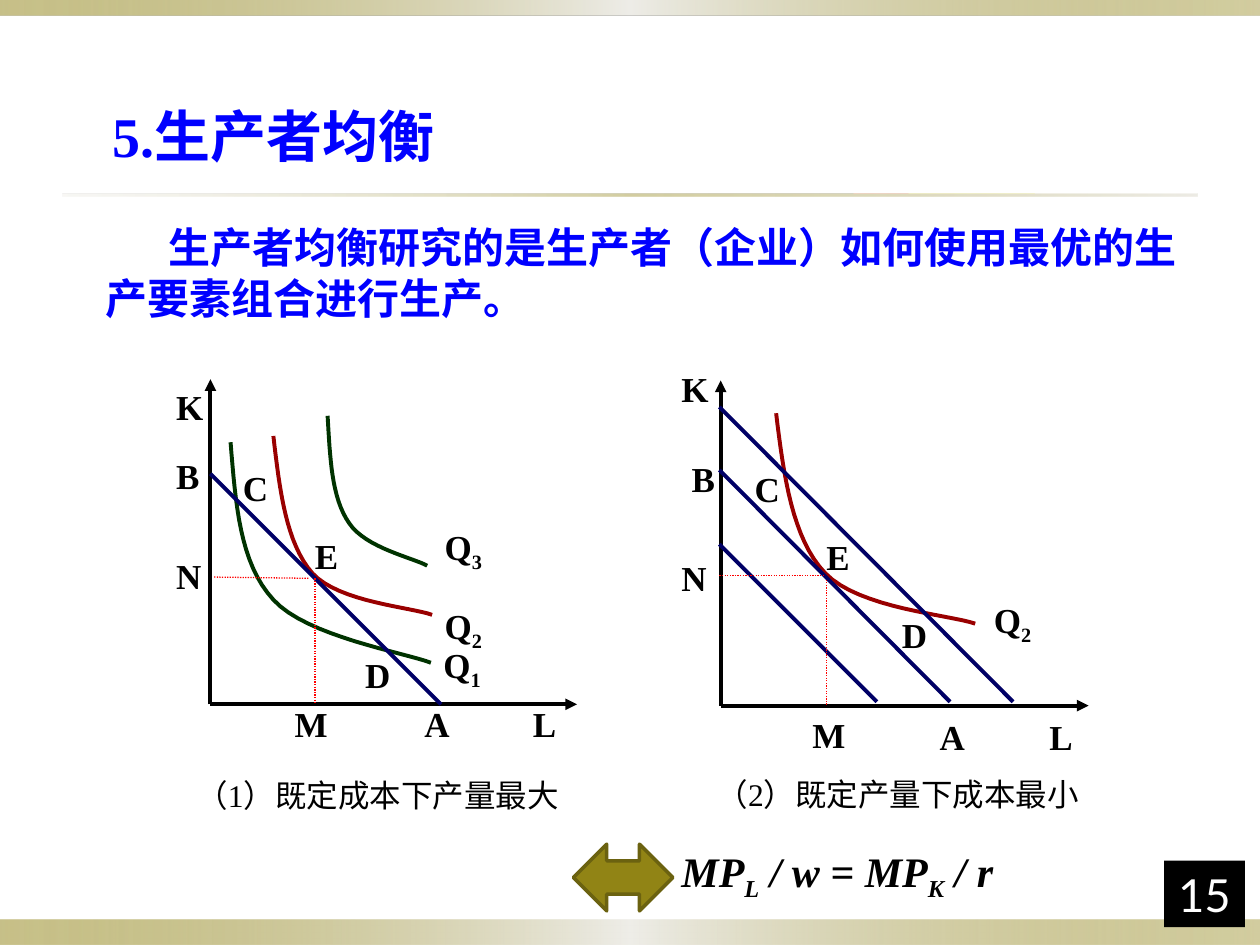
from lxml import etree
from pptx import Presentation, util as u
from pptx.dml.color import RGBColor
from pptx.enum import dml, shapes, text
from pptx.oxml import ns

BLACK, WHITE = RGBColor(0, 0, 0), RGBColor(255, 255, 255)
BLUE, NAVY = RGBColor(0, 0, 255), RGBColor(0, 0, 0x66)
GREEN, DARK_RED = RGBColor(0, 0x33, 0), RGBColor(0x99, 0, 0)
RED = RGBColor(255, 0, 0)
OLIVE, DARK_OLIVE = RGBColor(0x91, 0x84, 0x15), RGBColor(0x6B, 0x62, 0x10)
PALE, SAND = RGBColor(0xEE, 0xED, 0xE8), RGBColor(0xDC, 0xD9, 0xCC)

SERIF, SANS = "Times New Roman", "Lato"
CELL = 0.1  # grid step of a diagram, inches
LABEL_WIDTHS = {"K": 4.2, "M": 4.6, "L": 3.9, "E": 3.9, "B": 3.9, "Q": 5.1}

BAND = [(0, OLIVE, 50), (50, PALE, 100), (100, OLIVE, 40)]
RULE = [(0, SAND, 20), (50, OLIVE, 40), (100, SAND, 50)]

# Positions are columns and rows of the grid, from the top of the vertical axis.
MAX_OUTPUT = {
    "box": (1.67, 3.01, 2.91, 2.58),
    "curves": [
        (GREEN, [(1.6, 5), (2, 9.8), (2.3, 14.6), (5, 17.5),
                 (7.6, 20.4), (15.4, 21.7), (17.5, 22.5)]),
        (DARK_RED, [(5, 4.5), (5.5, 8.8), (6, 13), (8.1, 15.4),
                    (10.2, 17.7), (16, 18.1), (17.6, 18.7)]),
        (GREEN, [(9.3, 2.9), (9.5, 6.2), (9.6, 9.4), (11, 11.4),
                 (12.3, 13.4), (16.2, 14.2), (17.2, 14.8)])],
    "isocosts": [((0, 7.5), (18.3, 25.8))],
    "guides": [((8.3, 15.8), (8.3, 25.8)), ((0.3, 15.7), (7.8, 15.8))],
    "labels": {"K": (-3.7, 0), "B": (-3.7, 5.5), "N": (-3.7, 13.4),
               "C": (1.6, 6.4), "E": (7.3, 11.8), "D": (11.3, 21.3),
               "M": (5.7, 25.2), "A": (16, 25.2), "L": (24.6, 25.2),
               "Q1": (17.5, 20.5), "Q2": (17.6, 17.4), "Q3": (17.6, 11.1)},
    "caption": ("（1）既定成本下产量最大", (-2.1, 31)),
}
MIN_COST = {
    "box": (5.72, 3.02, 2.92, 2.58),
    "curves": [
        (DARK_RED, [(4.4, 2.6), (5, 7.6), (5.7, 12.6), (8.3, 15.3),
                    (11, 18.1), (18.2, 18.6), (20.2, 19.3)])],
    "isocosts": [((-0.1, 2.1), (23.2, 25.5)), ((-0.1, 7.1), (18.2, 25.5)),
                 ((-0.1, 13), (12.4, 25.5))],
    "guides": [((8.4, 15.8), (8.4, 25.8)), ((-0.1, 15.5), (8.2, 15.5))],
    "labels": {"K": (-4.1, -1.5), "B": (-3.3, 5.6), "N": (-4.1, 13.5),
               "C": (1.7, 6.4), "E": (7.4, 11.8), "D": (13.4, 18),
               "M": (6.3, 25.9), "A": (16.4, 26.1), "L": (25.1, 26.1),
               "Q2": (20.7, 16.8)},
    "caption": ("（2）既定产量下成本最小", (-1.3, 30.8)),
}


def inches(*values):
    return [u.Inches(v) for v in values]


def add_run(p, words, color=BLACK, sub=False, **fmt):
    r = p.add_run()
    r.text = words
    r.font.color.rgb = color
    for name, value in fmt.items():
        setattr(r.font, name, value)
    if sub:
        r.font._element.set("baseline", "-25000")


def add_text(s, box, runs, wrap=True, anchor=text.MSO_ANCHOR.TOP, **fmt):
    """Add a one-paragraph text box; runs are (words, is_subscript) pairs."""
    tf = s.shapes.add_textbox(*inches(*box)).text_frame
    tf.word_wrap, tf.vertical_anchor = wrap, anchor
    for words, sub in runs:
        add_run(tf.paragraphs[0], words, sub=sub, **fmt)
    return tf.paragraphs[0]


def add_shape(s, kind, box, fill, line=None):
    sp = s.shapes.add_shape(kind, *inches(*box))
    sp.shadow.inherit = False
    sp.fill.solid()
    sp.fill.fore_color.rgb = fill
    if line is None:
        sp.line.fill.background()
    else:
        sp.line.color.rgb, sp.line.width = line, u.Pt(2)
    return sp


def add_band(s, box, stops):
    """Add a bar with a horizontal gradient of (position, colour, opacity)."""
    sp = add_shape(s, shapes.MSO_SHAPE.RECTANGLE, box, WHITE)
    solid = sp._element.spPr.find(ns.qn("a:solidFill"))
    grad = etree.Element(ns.qn("a:gradFill"), rotWithShape="1")
    stop_list = etree.SubElement(grad, ns.qn("a:gsLst"))
    for position, color, opacity in stops:
        stop = etree.SubElement(stop_list, ns.qn("a:gs"), pos=str(position * 1000))
        clr = etree.SubElement(stop, ns.qn("a:srgbClr"), val=str(color))
        etree.SubElement(clr, ns.qn("a:alpha"), val=str(opacity * 1000))
    etree.SubElement(grad, ns.qn("a:lin"), ang="0", scaled="0")
    solid.getparent().replace(solid, grad)


def add_line(s, start, end, color, width=2.25, dotted=False, arrow=False):
    c = s.shapes.add_connector(shapes.MSO_CONNECTOR.STRAIGHT,
                               *inches(*start, *end))
    c.line.color.rgb, c.line.width = color, u.Pt(width)
    if dotted:
        c.line.dash_style = dml.MSO_LINE.ROUND_DOT
    if arrow:
        etree.SubElement(c.line._get_or_add_ln(), ns.qn("a:tailEnd"),
                         type="triangle")
    etree.SubElement(c._element.spPr, ns.qn("a:effectLst"))


def bezier(knots, steps=16):
    """Sample a chain of cubic segments given as start, c1, c2, end, ..."""
    points = [knots[0]]
    for i in range(0, len(knots) - 1, 3):
        for t in (n / steps for n in range(1, steps + 1)):
            weights = ((1 - t) ** 3, 3 * t * (1 - t) ** 2,
                       3 * t * t * (1 - t), t ** 3)
            points.append(tuple(sum(w * k[axis] for w, k in
                                    zip(weights, knots[i:i + 4]))
                                for axis in (0, 1)))
    return points


def add_curve(s, knots, color):
    first, *rest = [inches(*point) for point in bezier(knots)]
    builder = s.shapes.build_freeform(*first)
    builder.add_line_segments(rest, close=False)
    sp = builder.convert_to_shape()
    sp.shadow.inherit = False
    sp.fill.background()
    sp.line.color.rgb, sp.line.width = color, u.Pt(2.25)


def add_diagram(s, box, curves, isocosts, guides, labels, caption):
    left, top, width, height = box

    def at(cell):
        return left + cell[0] * CELL, top + cell[1] * CELL

    origin = (left, top + height)
    for end in ((left, top), (left + width, top + height)):
        add_line(s, origin, end, BLACK, arrow=True)
    for color, knots in curves:
        add_curve(s, [at(k) for k in knots], color)
    for start, end in isocosts:
        add_line(s, at(start), at(end), NAVY)
    for start, end in guides:
        add_line(s, at(start), at(end), RED, width=0.75, dotted=True)
    for name, cell in labels.items():
        runs = [(name[0], False)] + [(digit, True) for digit in name[1:]]
        size = (LABEL_WIDTHS.get(name[0], 4) * CELL, 4.3 * CELL)
        add_text(s, (*at(cell), *size), runs, wrap=False,
                 name=SERIF, size=u.Pt(20), bold=True)
    words, cell = caption
    add_text(s, (*at(cell), 3.46, 0.4), [(words, False)],
             anchor=text.MSO_ANCHOR.MIDDLE, name=SERIF, size=u.Pt(18))


def add_heading(s, box):
    sp = s.shapes.title
    sp.left, sp.top, sp.width, sp.height = inches(*box)
    tf = sp.text_frame
    tf.auto_size = text.MSO_AUTO_SIZE.NONE
    tf.vertical_anchor = text.MSO_ANCHOR.BOTTOM
    p = tf.paragraphs[0]
    p.alignment = text.PP_ALIGN.LEFT
    add_run(p, "5.生产者均衡", BLUE, name=SERIF, size=u.Pt(32), bold=True)


def add_intro(s, box):
    words = "生产者均衡研究的是生产者（企业）如何使用最优的生产要素组合进行生产。"
    p = add_text(s, box, [(words, False)], color=BLUE, name=SANS,
                 size=u.Pt(24), bold=True)
    p._p.get_or_add_pPr().set("indent", str(u.Inches(0.5)))


def add_condition(s, box):
    """Add the double arrow and the equilibrium condition beside it."""
    left, top, width, height = box
    add_shape(s, shapes.MSO_SHAPE.LEFT_RIGHT_ARROW,
              (left, top + 0.04, 0.79, 0.53), OLIVE, DARK_OLIVE)
    runs = [("MP", False), ("L", True), (" / w = MP", False),
            ("K", True), (" / r", False)]
    add_text(s, (left + 0.76, top, width - 0.76, height), runs,
             name=SERIF, size=u.Pt(24), bold=True, italic=True)


def add_page_number(s, box):
    tf = add_shape(s, shapes.MSO_SHAPE.RECTANGLE, box, BLACK).text_frame
    tf.vertical_anchor = text.MSO_ANCHOR.BOTTOM
    tf.paragraphs[0].alignment = text.PP_ALIGN.CENTER
    add_run(tf.paragraphs[0], "15", WHITE, name=SANS, size=u.Pt(26))


def main():
    prs = Presentation()
    prs.slide_width, prs.slide_height = inches(10, 7.5)
    s = prs.slides.add_slide(prs.slide_layouts[5])
    add_band(s, (0, 7.3, 10, 0.2), BAND)
    add_band(s, (0, 0, 10, 0.12), BAND)
    add_band(s, (0.5, 1.54, 9, 0.02), RULE)
    add_heading(s, (0.79, 0.84, 8.7, 0.55))
    add_intro(s, (0.74, 1.71, 8.74, 1.26))
    for diagram in (MAX_OUTPUT, MIN_COST):
        add_diagram(s, **diagram)
    add_page_number(s, (9.24, 6.83, 0.64, 0.53))
    add_condition(s, (4.55, 6.66, 3.55, 0.5))
    prs.save("out.pptx")


if __name__ == "__main__":
    main()
